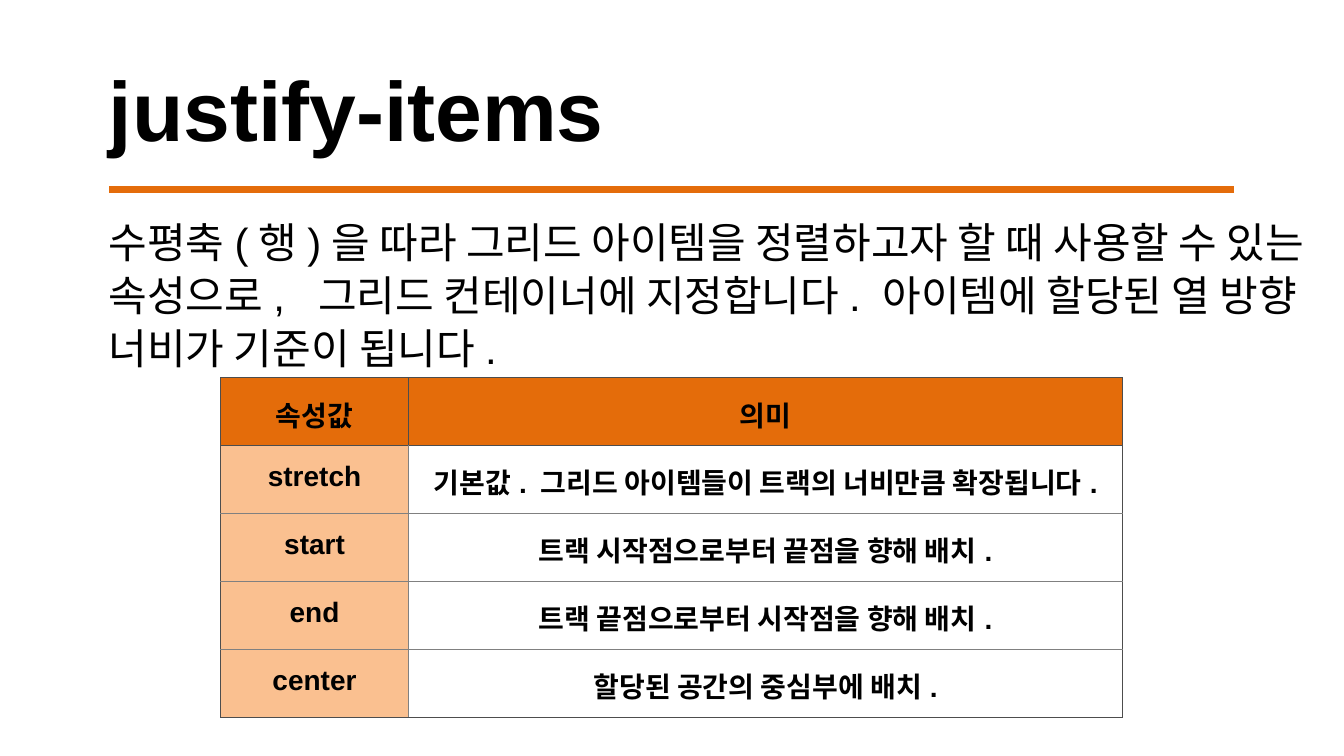
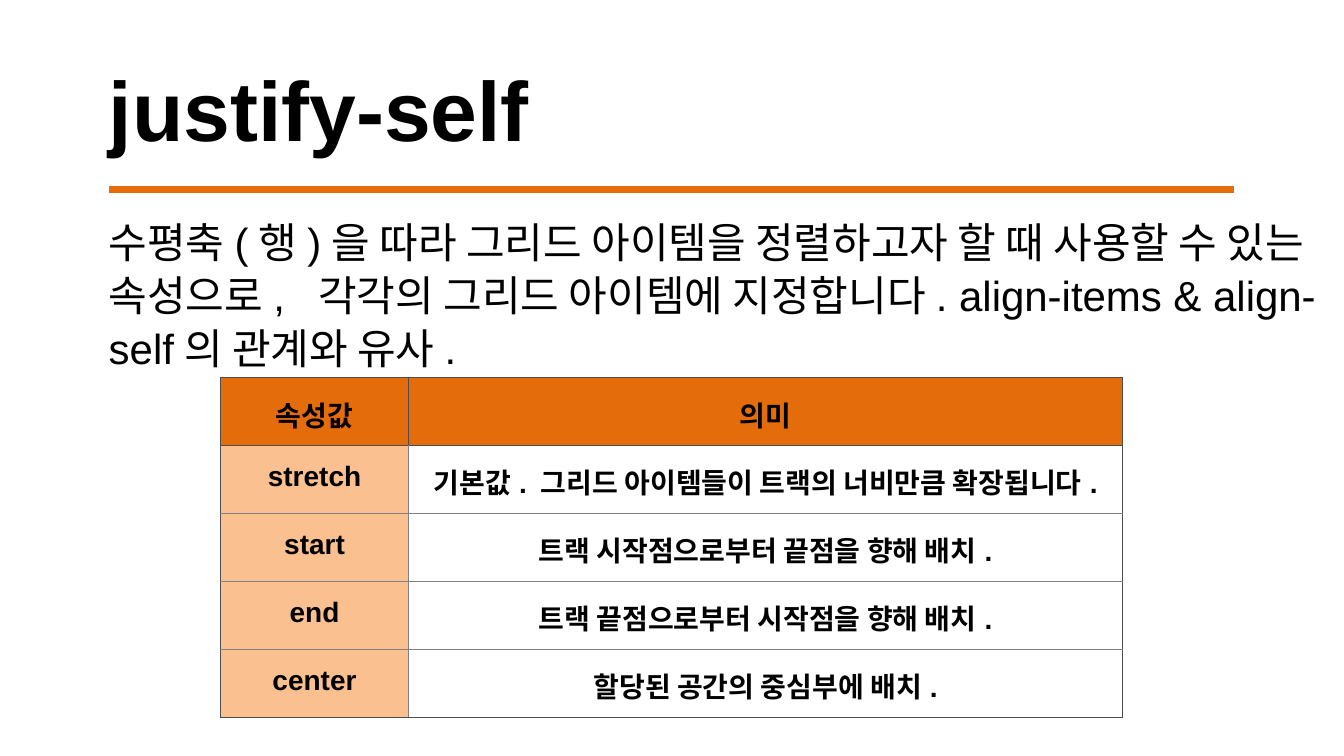
from dataclasses import dataclass

from lxml.etree import SubElement
from pptx import Presentation
from pptx.dml.color import RGBColor
from pptx.enum.shapes import MSO_CONNECTOR
from pptx.enum.text import PP_ALIGN
from pptx.oxml.ns import qn
from pptx.util import Cm, Pt


@dataclass(frozen=True)
class Theme:
    font: str = "Arial"
    text: str = "000000"
    accent: str = "E46C0A"
    accent_light: str = "FAC090"
    border_dark: str = "4D4D4D"
    border_light: str = "808080"
    title_size: float = 99
    body_size: float = 49.5
    table_size: float = 33
    rule_width: float = 8.25
    border_width: float = 1


THEME = Theme()

LEFT = Cm(4.52)
COLUMN_WIDTHS = [Cm(7.8), Cm(29.69)]
ROW_HEIGHT = Cm(2.82)

TABLE_ROWS = [
    ("속성값", "의미"),
    ("stretch", "기본값. 그리드 아이템들이 트랙의 너비만큼 확장됩니다."),
    ("start", "트랙 시작점으로부터 끝점을 향해 배치."),
    ("end", "트랙 끝점으로부터 시작점을 향해 배치."),
    ("center", "할당된 공간의 중심부에 배치."),
]

INTRODUCTION = "수평축(행)을 따라 그리드 아이템을 정렬하고자 할 때 사용할 수 있는 속성으로,  "
PAGES = [
    ("justify-items", INTRODUCTION
     + "그리드 컨테이너에 지정합니다. 아이템에 할당된 열 방향 너비가 기준이 됩니다."),
    ("justify-self", INTRODUCTION
     + "각각의 그리드 아이템에 지정합니다. align-items & align-self의 관계와 유사."),
]


def write_text(frame, text, size, bold, top_margin):
    frame.word_wrap = True
    frame.margin_left = frame.margin_right = frame.margin_bottom = 0
    frame.margin_top = top_margin
    run = frame.paragraphs[0].add_run()
    run.text = text
    run.font.name = THEME.font
    run.font.size = Pt(size)
    run.font.bold = bold
    run.font.color.rgb = RGBColor.from_string(THEME.text)
    return frame.paragraphs[0]


def set_border(cell, side, color):
    properties = cell._tc.get_or_add_tcPr()
    line = SubElement(properties, qn(f"a:ln{side}"), w=str(Pt(THEME.border_width)))
    fill = SubElement(line, qn("a:solidFill"))
    SubElement(fill, qn("a:srgbClr"), val=color)


presentation = Presentation()
presentation.slide_width = Cm(55.85)
presentation.slide_height = Cm(31.42)
last_row = len(TABLE_ROWS) - 1
last_column = len(COLUMN_WIDTHS) - 1

for title, description in PAGES:
    slide = presentation.slides.add_slide(presentation.slide_layouts[6])

    title_box = slide.shapes.add_textbox(LEFT, Cm(2.36), Cm(32.72), Cm(4.27))
    write_text(title_box.text_frame, title, THEME.title_size, True, Cm(0.03))

    body_box = slide.shapes.add_textbox(LEFT, Cm(8.86), Cm(51.77), Cm(6.6))
    paragraph = write_text(body_box.text_frame, description, THEME.body_size, False, Cm(0.03))
    paragraph.line_spacing = 1.05

    title_rule = slide.shapes.add_connector(
        MSO_CONNECTOR.STRAIGHT, Cm(4.55), Cm(7.87), Cm(51.28), Cm(7.87))
    title_rule.line.color.rgb = RGBColor.from_string(THEME.accent)
    title_rule.line.width = Pt(THEME.rule_width)
    SubElement(title_rule._element.spPr, qn("a:effectLst"))

    table = slide.shapes.add_table(
        len(TABLE_ROWS), len(COLUMN_WIDTHS), Cm(9.17), Cm(15.7),
        sum(COLUMN_WIDTHS), ROW_HEIGHT * len(TABLE_ROWS)).table
    table.first_row = False
    table.horz_banding = False
    for column, width in zip(table.columns, COLUMN_WIDTHS):
        column.width = width

    for row_index, row_texts in enumerate(TABLE_ROWS):
        table.rows[row_index].height = ROW_HEIGHT
        for column_index, text in enumerate(row_texts):
            cell = table.cell(row_index, column_index)
            is_header = row_index == 0
            dark_sides = {
                "L": is_header or column_index == 0,
                "R": is_header or column_index == last_column,
                "T": row_index <= 1,
                "B": row_index in (0, last_row),
            }
            for side, is_dark in dark_sides.items():
                set_border(cell, side, THEME.border_dark if is_dark else THEME.border_light)

            if is_header or column_index == 0:
                cell.fill.solid()
                cell.fill.fore_color.rgb = RGBColor.from_string(
                    THEME.accent if is_header else THEME.accent_light)
            else:
                cell.fill.background()

            cell.margin_left = cell.margin_right = cell.margin_bottom = 0
            cell.margin_top = Cm(0.66)
            paragraph = write_text(cell.text_frame, text, THEME.table_size, True, 0)
            paragraph.alignment = PP_ALIGN.CENTER

presentation.save("out.pptx")
